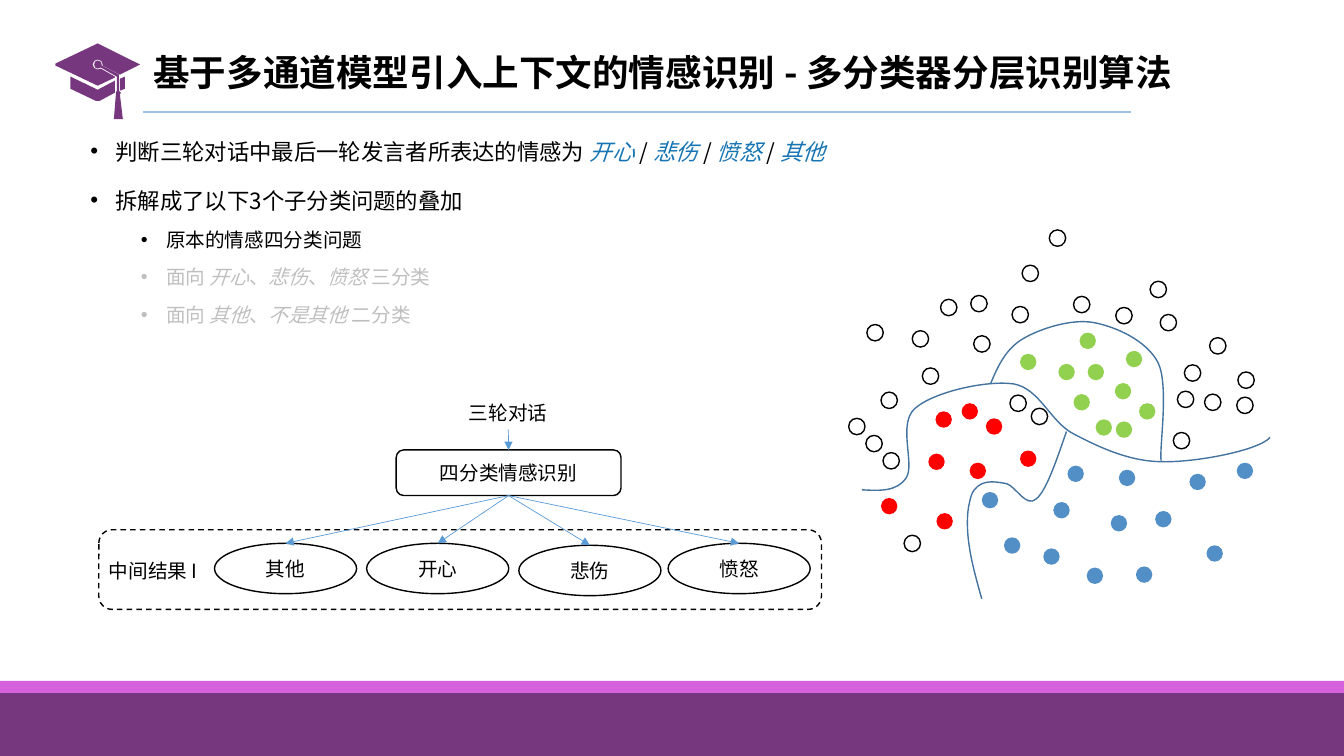
"""Build the slide on layered emotion recognition with several classifiers."""
import lxml.etree
import pptx
import pptx.dml.color
import pptx.enum.dml
import pptx.enum.shapes
import pptx.enum.text
import pptx.oxml.ns
import pptx.util

Pt = pptx.util.Pt
RGBColor = pptx.dml.color.RGBColor
SHAPE = pptx.enum.shapes.MSO_SHAPE
ALIGN = pptx.enum.text.PP_ALIGN
ANCHOR = pptx.enum.text.MSO_ANCHOR
FIT = pptx.enum.text.MSO_AUTO_SIZE

FONT = "Noto Sans CJK SC"
BLACK = RGBColor(0x00, 0x00, 0x00)
GREY = RGBColor(0xBF, 0xBF, 0xBF)
PURPLE = RGBColor(0x77, 0x37, 0x7E)
PINK = RGBColor(0xD6, 0x61, 0xDD)
EMOTION_BLUE = RGBColor(0x17, 0x75, 0xB3)
RULE_BLUE = RGBColor(0x9D, 0xC3, 0xE6)
ARROW_BLUE = RGBColor(0x5B, 0x9B, 0xD5)
CURVE_BLUE = RGBColor(0x43, 0x73, 0x9E)
RED = RGBColor(0xFF, 0x00, 0x00)
GREEN = RGBColor(0x92, 0xD0, 0x50)
DOT_BLUE = RGBColor(0x52, 0x8F, 0xC7)

DOT_SIZE = 11.7

TITLE = "基于多通道模型引入上下文的情感识别 - 多分类器分层识别算法"
PLAIN = {"color": BLACK, "italic": False}
EMOTION = {"color": EMOTION_BLUE, "italic": True}
FADED = {"color": GREY, "italic": False}
FADED_ITALIC = {"color": GREY, "italic": True}
BULLETS = [
    (0, [("判断三轮对话中最后一轮发言者所表达的情感为 ", PLAIN), ("开心 ", EMOTION), ("/ ", PLAIN),
         ("悲伤", EMOTION), (" / ", PLAIN), ("愤怒", EMOTION), (" / ", PLAIN), ("其他", EMOTION)]),
    (0, [("拆解成了以下3个子分类问题的叠加", PLAIN)]),
    (1, [("原本的情感四分类问题", PLAIN)]),
    (1, [("面向 ", FADED), ("开心", FADED_ITALIC), ("、", FADED), ("悲伤", FADED_ITALIC),
         ("、", FADED), ("愤怒 ", FADED_ITALIC), ("三分类", FADED)]),
    (1, [("面向 ", FADED), ("其他", FADED_ITALIC), ("、", FADED), ("不是其他 ", FADED_ITALIC),
         ("二分类", FADED)]),
]
LEVELS = [{"size": 16, "margin": 18, "before": 10}, {"size": 14, "margin": 54, "before": 5}]

CAP = [
    [(85.7, 64.8), (89.3, 63.4), (89.3, 54.7), (85.7, 56.2)],
    [(50.4, 54.7), (50.4, 63.4), (68.4, 72), (71.3, 72), (82.1, 66.2), (82.1, 57.6), (69.8, 64.1)],
    [(85, 54), (85, 53.3), (72.7, 46.8), (72.7, 46.1), (71.9, 44), (69.8, 43.2), (67.9, 44),
     (67.3, 46.1), (68, 48.2), (69.8, 49), (72, 48.2), (83.5, 54.7)],
    [(100.1, 46.1), (69.8, 31), (39.6, 45.4), (39.6, 46.8), (69.8, 61.2), (82.1, 55.4),
     (82.1, 54.7), (72, 49), (69.8, 49.7), (67.3, 48.6), (66.2, 46.1), (67.3, 43.5),
     (69.8, 42.5), (72.4, 43.5), (73.4, 46.1), (73.4, 46.8), (85.7, 53.3)],
    [(85, 54), (85, 64.8), (86.4, 66.2), (85.7, 67.7), (87.8, 85), (81.4, 85), (82.8, 67.7),
     (82.8, 66.2), (83.5, 64.8), (83.5, 54.7)],
]
DOTS = [
    (RED, [(668.2, 293.8), (629.3, 355.7), (686.9, 288), (663.1, 324), (692.6, 330.5),
           (704.2, 298.8), (728.6, 321.8), (668.9, 366.5)]),
    (GREEN, [(728.6, 252.7), (756, 259.9), (766.8, 281.5), (776.9, 259.9), (782.6, 299.5),
             (796.3, 273.6), (797, 301), (771.1, 237.6), (804.2, 250.6), (813.6, 288)]),
    (DOT_BLUE, [(701.3, 351.4), (752.4, 358.6), (776.2, 405.4), (825.1, 365), (799.2, 335.5),
                (745.2, 391.7), (717.1, 383.8), (762.5, 332.6), (811.4, 404.6), (883.4, 330.5),
                (861.8, 389.5), (849.6, 338.4), (793.4, 367.9)]),
    (None, [(606.2, 298.8), (651.6, 236.2), (629.3, 280.1), (618.5, 311), (658.8, 262.8),
            (695.5, 239.8), (645.8, 382.3), (722.9, 218.9), (630.7, 323.3), (721.4, 282.2),
            (736.6, 291.6), (766.8, 211.7), (797, 219.6), (671.8, 213.8), (619.2, 231.8),
            (693.4, 211), (749.5, 164.2), (838.1, 308.9), (841, 279.4), (828.7, 224.6),
            (821.5, 200.9), (864, 241.2), (860.4, 281.5), (884.2, 265.7), (846, 260.6),
            (883.4, 283.7), (730.1, 189.4)]),
]
BOUNDARIES = [
    [(615.6, 349.9), (627.8, 350.6), (640.8, 351.4), (647.3, 341.3), (653.8, 331.9),
     (640.8, 302.4), (653.8, 291.6), (666.7, 280.1), (704.9, 271.4), (724.3, 274.3),
     (743, 277.9), (750.2, 301.7), (767.5, 310.3), (785.5, 319.7), (807.1, 329.8),
     (830.2, 329.8), (853.9, 330.5), (899.3, 321.8), (907.2, 312.5)],
    [(761.8, 308.2), (754.6, 329), (747.4, 350.6), (740.2, 356.4), (733, 362.9),
     (725.8, 347.8), (719.3, 345.6), (712.8, 344.2), (706.3, 343.4), (701.3, 345.6),
     (697, 347.8), (694.1, 350.6), (692.6, 358.6), (690.5, 365.8), (690.5, 380.2),
     (692.6, 391.7), (694.1, 403.2), (701.3, 427.7), (701.3, 427.7)],
    [(707.8, 273.6), (712.8, 261.4), (718.6, 249.1), (730.8, 241.9), (743, 234.7),
     (765.4, 227.5), (781.2, 230.4), (797, 233.3), (819.4, 243.4), (827.3, 259.2),
     (835.2, 275.8), (828, 320.4), (829.4, 329)],
]
RESULTS = [("其他", 153.2, 388.1), ("开心", 261.9, 388.1), ("悲伤", 370.6, 389.5), ("愤怒", 477.2, 388.1)]


def add_child(parent, tag, **values):
    return lxml.etree.SubElement(parent, pptx.oxml.ns.qn(tag), values)


def assign(target, values):
    for name, value in values.items():
        setattr(target, name, value)


def place(shape, *frame):
    assign(shape, dict(zip(("left", "top", "width", "height"), map(Pt, frame))))


def add_span(para, text, size, color=BLACK, **font_values):
    span = para.add_run()
    span.text = text
    assign(span.font, {"size": Pt(size), "name": FONT, **font_values})
    span.font.color.rgb = color
    add_child(span.font._element, "a:ea", typeface=FONT)


def paint(shape, fill=None, line=None, width=1):
    shape.shadow.inherit = False
    for part, color in ((shape.fill, fill), (shape.line.fill, line)):
        if color is None:
            part.background()
        else:
            part.solid()
            part.fore_color.rgb = color
    if line is not None:
        shape.line.width = Pt(width)


def add_figure(shapes, kind, frame, fill=None, line=None, text=None):
    figure = shapes.add_shape(kind, *map(Pt, frame))
    paint(figure, fill, line)
    if text:
        assign(figure.text_frame, {"word_wrap": True, "vertical_anchor": ANCHOR.MIDDLE})
        para = figure.text_frame.paragraphs[0]
        para.alignment = ALIGN.CENTER
        add_span(para, text, 14)
    return figure


def add_label(shapes, text, frame):
    box = shapes.add_textbox(*map(Pt, frame))
    assign(box.text_frame, {"word_wrap": True, "auto_size": FIT.SHAPE_TO_FIT_TEXT})
    add_span(box.text_frame.paragraphs[0], text, 14)


def add_line(page, start, end, color, width, arrow=False):
    line = page.shapes.add_connector(pptx.enum.shapes.MSO_CONNECTOR.STRAIGHT, *map(Pt, start + end))
    line.line.color.rgb = color
    line.line.width = Pt(width)
    if arrow:
        add_child(line.line._get_or_add_ln(), "a:tailEnd", type="triangle")
    add_child(line._element.spPr, "a:effectLst")
    return line


def add_outline(page, contours, close, **colors):
    scaled = [[(Pt(x), Pt(y)) for x, y in points] for points in contours]
    builder = page.shapes.build_freeform(*scaled[0][0], scale=1.0)
    for index, points in enumerate(scaled):
        if index:
            builder.move_to(*points[0])
        builder.add_line_segments(points[1:], close=close)
    outline = builder.convert_to_shape()
    paint(outline, **colors)
    return outline


def bend(outline):
    segments = list(outline._element.iter(pptx.oxml.ns.qn("a:lnTo")))
    for first in range(0, len(segments), 3):
        curve = add_child(segments[first].getparent(), "a:cubicBezTo")
        for segment in segments[first:first + 3]:
            curve.append(segment[0])
            segment.getparent().remove(segment)


def fill_title(title):
    place(title, 102.4, 26.6, 761.8, 54)
    assign(title.text_frame, {"word_wrap": True, "auto_size": FIT.NONE, "vertical_anchor": ANCHOR.MIDDLE})
    para = title.text_frame.paragraphs[0]
    assign(para, {"alignment": ALIGN.LEFT, "line_spacing": 0.9})
    add_span(para, TITLE, 26.1, bold=True)


def fill_bullets(body):
    place(body, 57.4, 89, 802.8, 401.8)
    frame = body.text_frame
    assign(frame, {"word_wrap": True, "auto_size": FIT.NONE, "vertical_anchor": ANCHOR.TOP})
    for index, (level, spans) in enumerate(BULLETS):
        para = frame.add_paragraph() if index else frame.paragraphs[0]
        style = LEVELS[level]
        properties = para._p.get_or_add_pPr()
        properties.set("marL", str(Pt(style["margin"])))
        properties.set("indent", str(Pt(-18)))
        add_child(properties, "a:buFont", typeface="Arial")
        add_child(properties, "a:buChar", char="•")
        assign(para, {"level": level, "line_spacing": 1.3, "space_after": Pt(0),
                      "space_before": Pt(style["before"] if index else 0)})
        for text, look in spans:
            add_span(para, text, style["size"], **look)


def draw_scatter(page):
    for color, corners in DOTS:
        for corner in corners:
            add_figure(page.shapes, SHAPE.OVAL, (*corner, DOT_SIZE, DOT_SIZE),
                       fill=color, line=None if color else BLACK)
    for points in BOUNDARIES:
        bend(add_outline(page, [points], False, line=CURVE_BLUE))


def draw_classifier(page):
    add_label(page.shapes, "三轮对话", (327.9, 282.6, 70.6, 24.5))
    classifier = add_figure(page.shapes, SHAPE.ROUNDED_RECTANGLE, (283, 321.4, 160.6, 32.6),
                            line=BLACK, text="四分类情感识别")
    group = page.shapes.add_group_shape().shapes
    frame = add_figure(group, SHAPE.ROUNDED_RECTANGLE, (70.6, 378.4, 516.2, 56.9), line=BLACK)
    frame.line.dash_style = pptx.enum.dml.MSO_LINE.DASH
    add_label(group, "中间结果 I", (70.6, 395.6, 78.5, 20.2))
    ovals = [add_figure(group, SHAPE.OVAL, (left, top, 101.5, 36), line=BLACK, text=text)
             for text, left, top in RESULTS]
    entry = add_line(page, (363.1, 306.7), (363.3, 321.4), ARROW_BLUE, 0.5, arrow=True)
    entry.end_connect(classifier, 0)
    for oval in ovals:
        branch = add_line(page, (363.3, 354), (363.3, 388.1), ARROW_BLUE, 0.5, arrow=True)
        branch.begin_connect(classifier, 2)
        branch.end_connect(oval, 0)


def main():
    deck = pptx.Presentation()
    assign(deck, {"slide_width": Pt(960), "slide_height": Pt(540)})
    page = deck.slides.add_slide(deck.slide_layouts[1])
    add_figure(page.shapes, SHAPE.RECTANGLE, (0, 486.7, 960, 53.3), fill=PURPLE)
    fill_title(page.shapes.title)
    add_outline(page, CAP, True, fill=PURPLE)
    add_line(page, (102.4, 80.2), (807.8, 80.2), RULE_BLUE, 1.5)
    fill_bullets(page.placeholders[1])
    draw_scatter(page)
    draw_classifier(page)
    add_figure(page.shapes, SHAPE.RECTANGLE, (0, 486.4, 960, 8.6), fill=PINK)
    deck.save("out.pptx")


if __name__ == "__main__":
    main()
